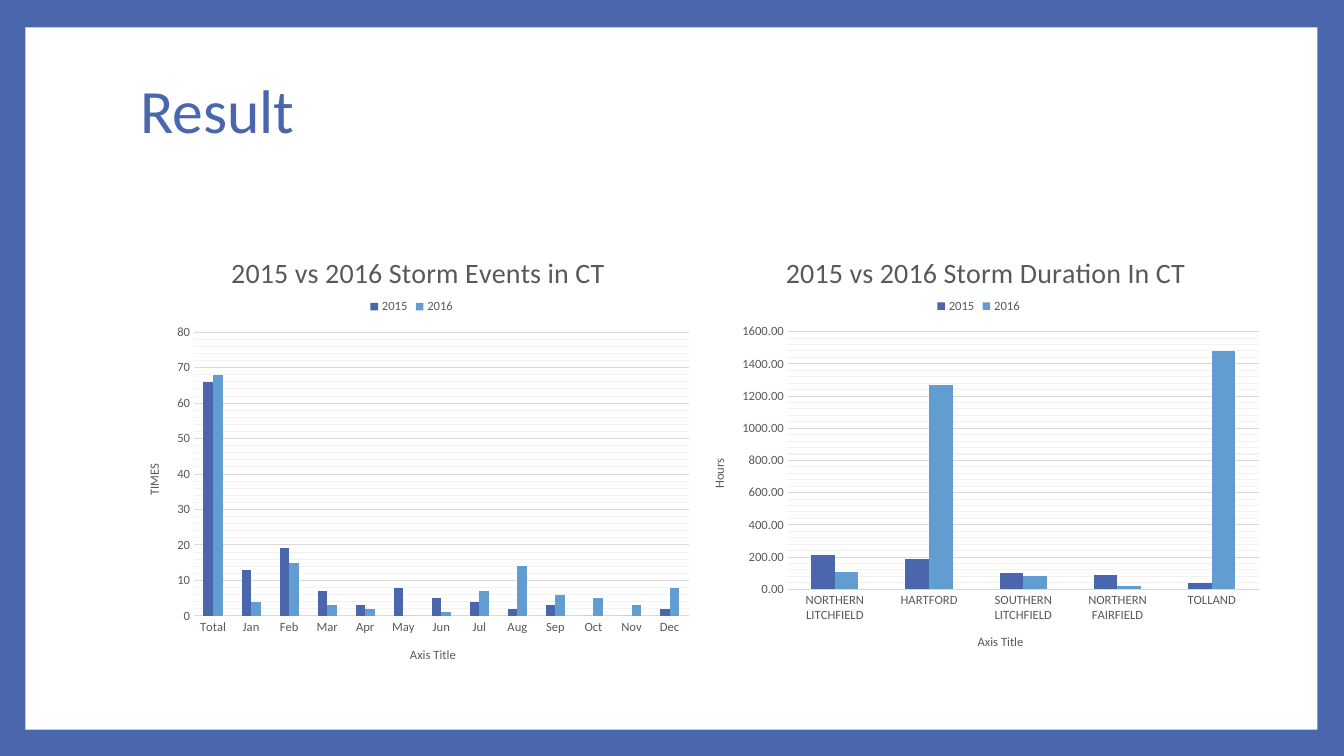
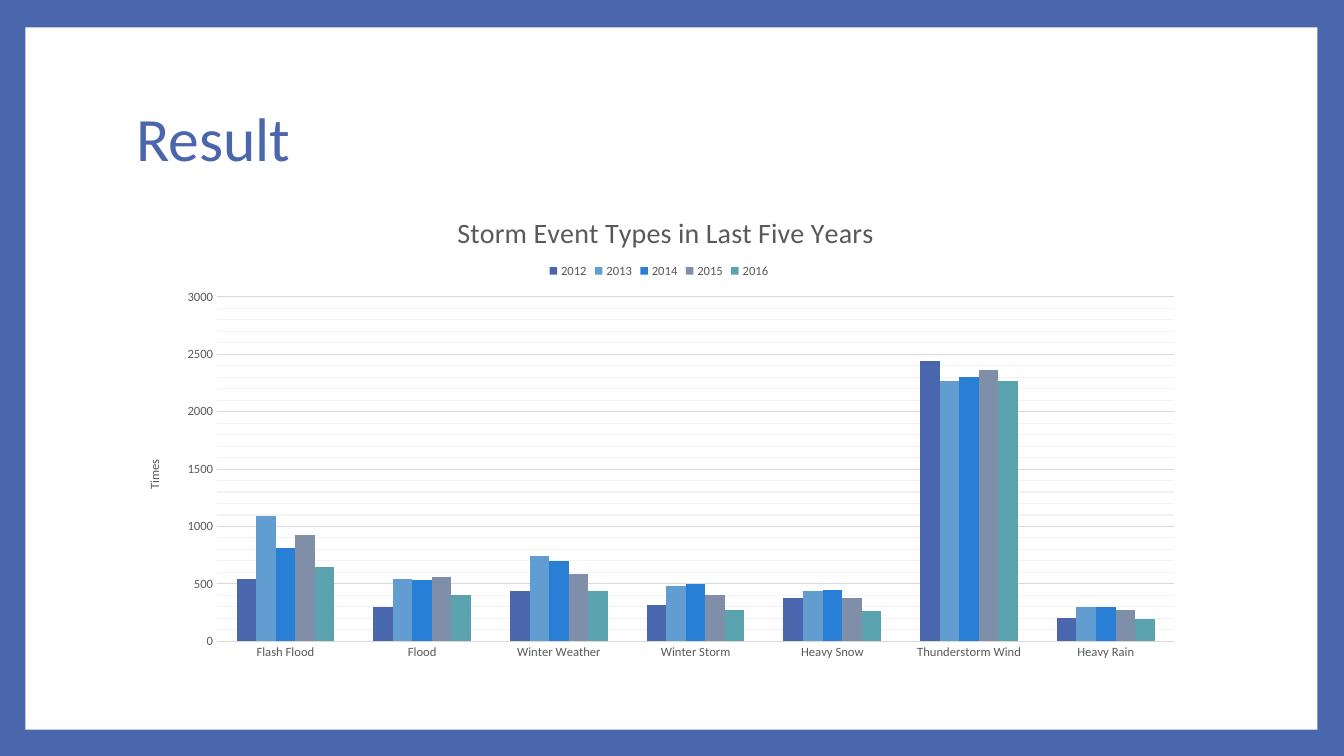
from dataclasses import dataclass

from lxml.etree import SubElement
from pptx import Presentation
from pptx.chart.data import CategoryChartData
from pptx.dml.color import RGBColor
from pptx.enum.chart import XL_CHART_TYPE as ChartType
from pptx.enum.chart import XL_LEGEND_POSITION as LegendPosition
from pptx.enum.chart import XL_TICK_MARK as TickMark
from pptx.enum.shapes import MSO_SHAPE as Shape
from pptx.enum.text import MSO_ANCHOR as Anchor
from pptx.oxml import parse_xml
from pptx.oxml.ns import nsdecls, qn
from pptx.util import Cm, Pt

FONT = "Calibri"
BLUE = RGBColor(0x4A, 0x66, 0xAC)
SKY = RGBColor(0x62, 0x9D, 0xD1)
AZURE = RGBColor(0x29, 0x7F, 0xD5)
SLATE = RGBColor(0x7F, 0x8F, 0xA9)
TEAL = RGBColor(0x5A, 0xA2, 0xAE)
WHITE = RGBColor(0xFF, 0xFF, 0xFF)
GREY = RGBColor(0x59, 0x59, 0x59)
GRID = RGBColor(0xD9, 0xD9, 0xD9)
FINE_GRID = RGBColor(0xF2, 0xF2, 0xF2)
SERIES_COLOURS = (BLUE, SKY, AZURE, SLATE, TEAL)
HAIRLINE = Pt(0.75)
MINOR_STEPS = 5


@dataclass
class StormChart:
    heading: str
    categories: list
    series: dict
    value_title: str
    top: int
    step: int
    heading_at: tuple
    legend_at: tuple
    plot_at: tuple
    category_title: str = ""
    number_format: str = "General"


EVENTS = StormChart(
    heading="2015 vs 2016 Storm Events in CT",
    categories=["Total", "Jan", "Feb", "Mar", "Apr", "May", "Jun",
                "Jul", "Aug", "Sep", "Oct", "Nov", "Dec"],
    series={
        "2015": [66, 13, 19, 7, 3, 8, 5, 4, 2, 3, 0, 0, 2],
        "2016": [68, 4, 15, 3, 2, 0, 1, 7, 14, 6, 5, 3, 8],
    },
    value_title="TIMES", category_title="Axis Title", top=80, step=10,
    heading_at=(17.4, 4.6), legend_at=(41.8, 15),
    plot_at=(11.8, 23.1, 86.1, 62.3),
)

DURATION = StormChart(
    heading="2015 vs 2016 Storm Duration In CT",
    categories=["NORTHERN LITCHFIELD", "HARTFORD", "SOUTHERN LITCHFIELD",
                "NORTHERN FAIRFIELD", "TOLLAND"],
    series={
        "2015": [210, 190, 100, 90, 40],
        "2016": [110, 1270, 80, 20, 1480],
    },
    value_title="Hours", category_title="Axis Title", top=1600, step=200,
    heading_at=(15.6, 4.7), legend_at=(41.9, 15.3),
    plot_at=(16.8, 23.6, 81.3, 58.1), number_format="0.00",
)

EVENT_TYPES = StormChart(
    heading="Storm Event Types in Last Five Years",
    categories=["Flash Flood", "Flood", "Winter Weather", "Winter Storm",
                "Heavy Snow", "Thunderstorm Wind", "Heavy Rain"],
    series={
        "2012": [540, 300, 440, 320, 380, 2440, 200],
        "2013": [1090, 540, 740, 480, 440, 2270, 300],
        "2014": [810, 530, 700, 500, 450, 2300, 300],
        "2015": [930, 560, 590, 400, 380, 2360, 270],
        "2016": [650, 400, 440, 270, 260, 2270, 190],
    },
    value_title="Times", top=3000, step=500,
    heading_at=(30.5, 5), legend_at=(39.2, 15.7),
    plot_at=(8.5, 23.4, 89.5, 70.9),
)


def style_font(font, size, colour):
    font.name = FONT
    font.size = Pt(size)
    font.bold = False
    font.color.rgb = colour


def set_title(title, words, size):
    title.text_frame.text = words
    style_font(title.text_frame.paragraphs[0].runs[0].font, size, GREY)


def style_line(line, colour):
    line.color.rgb = colour
    line.width = HAIRLINE


def pin(element, index, percents):
    for old in element.findall(qn("c:layout")):
        element.remove(old)
    layout = parse_xml(f"<c:layout {nsdecls('c')}/>")
    manual = SubElement(layout, qn("c:manualLayout"))
    if len(percents) == 4:
        SubElement(manual, qn("c:layoutTarget")).set("val", "inner")
    for mode in ("xMode", "yMode"):
        SubElement(manual, qn(f"c:{mode}")).set("val", "edge")
    for side, percent in zip("xywh", percents):
        SubElement(manual, qn(f"c:{side}")).set("val", str(round(percent / 100, 3)))
    element.insert(index, layout)


def style_minor_gridlines(chart):
    value_axis = chart.element.chart.plotArea.find(qn("c:valAx"))
    value_axis.find(qn("c:minorGridlines")).append(parse_xml(
        f'<c:spPr {nsdecls("c", "a")}><a:ln w="{int(HAIRLINE)}"><a:solidFill>'
        f'<a:srgbClr val="{FINE_GRID}"/></a:solidFill></a:ln></c:spPr>'))


def style_axes(chart, storm):
    categories, values = chart.category_axis, chart.value_axis
    for axis, words in ((categories, storm.category_title), (values, storm.value_title)):
        axis.major_tick_mark = axis.minor_tick_mark = TickMark.NONE
        style_font(axis.tick_labels.font, 9, GREY)
        axis.has_title = bool(words)
        if words:
            set_title(axis.axis_title, words, 9)
    style_line(categories.format.line, GRID)
    values.format.line.fill.background()
    values.minimum_scale, values.maximum_scale = 0, storm.top
    values.major_unit, values.minor_unit = storm.step, storm.step / MINOR_STEPS
    values.has_major_gridlines = values.has_minor_gridlines = True
    style_line(values.major_gridlines.format.line, GRID)
    style_minor_gridlines(chart)
    values.tick_labels.number_format = storm.number_format
    values.tick_labels.number_format_is_linked = False


def add_storm_chart(slide, storm, box):
    data = CategoryChartData()
    data.categories = storm.categories
    for year, counts in storm.series.items():
        data.add_series(year, counts)
    chart = slide.shapes.add_chart(ChartType.COLUMN_CLUSTERED, *map(Cm, box), data).chart
    style_font(chart.font, 10, GREY)
    chart.has_title = True
    set_title(chart.chart_title, storm.heading, 20)
    chart.has_legend = True
    chart.legend.position = LegendPosition.TOP
    chart.legend.include_in_layout = False
    style_font(chart.legend.font, 9, GREY)
    style_axes(chart, storm)
    columns = chart.plots[0]
    columns.gap_width, columns.overlap = 199, 0
    columns.vary_by_categories = False
    for year, colour in zip(columns.series, SERIES_COLOURS):
        year.format.fill.solid()
        year.format.fill.fore_color.rgb = colour
    body = chart.element.chart
    pin(body.find(qn("c:title")), 1, storm.heading_at)
    pin(body.find(qn("c:legend")), 1, storm.legend_at)
    pin(body.plotArea, 0, storm.plot_at)


def add_frame(slide):
    slide.background.fill.solid()
    slide.background.fill.fore_color.rgb = BLUE
    panel = slide.shapes.add_shape(Shape.RECTANGLE, Cm(0.64), Cm(0.69), Cm(32.56), Cm(17.7))
    panel.shadow.inherit = False
    panel.fill.solid()
    panel.fill.fore_color.rgb = WHITE
    panel.line.fill.background()


def add_heading(slide, words, left, top):
    frame = slide.shapes.add_textbox(Cm(left), Cm(top), Cm(27.43), Cm(3.76)).text_frame
    frame.word_wrap = True
    frame.vertical_anchor = Anchor.MIDDLE
    frame.text = words
    heading = frame.paragraphs[0]
    heading.line_spacing = 0.9
    style_font(heading.runs[0].font, 44, BLUE)


def add_result_slide(deck, heading_at, charts):
    slide = deck.slides.add_slide(deck.slide_layouts[6])
    add_frame(slide)
    add_heading(slide, "Result", *heading_at)
    for storm, box in charts:
        add_storm_chart(slide, storm, box)


def main():
    deck = Presentation()
    deck.slide_width, deck.slide_height = Cm(33.87), Cm(19.05)
    add_result_slide(deck, (3.28, 0.97), [
        (DURATION, (17.4, 5.72, 14.6, 11.18)),
        (EVENTS, (3.18, 5.72, 14.48, 11.48)),
    ])
    add_result_slide(deck, (3.18, 1.7), [
        (EVENT_TYPES, (3.18, 4.62, 26.95, 12.24)),
    ])
    deck.save("out.pptx")


if __name__ == "__main__":
    main()
